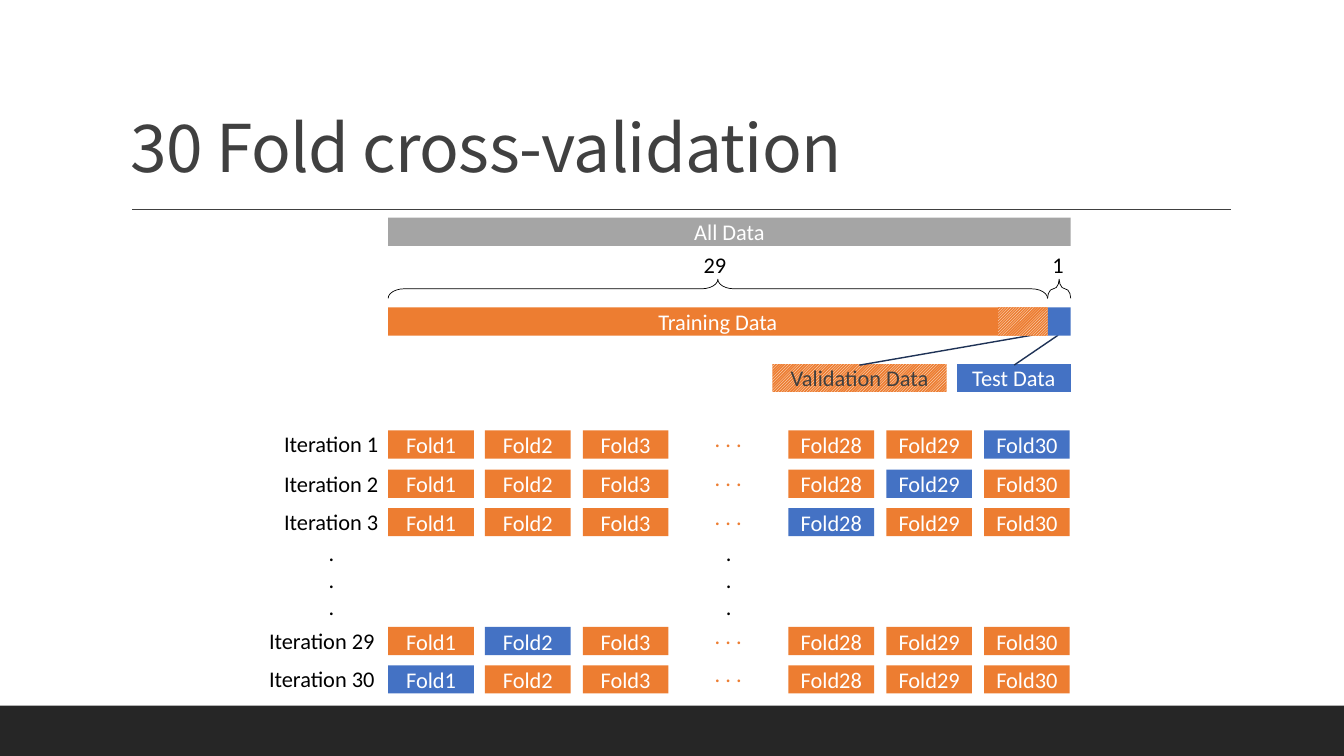
from pptx import Presentation
from pptx.dml.color import RGBColor
from pptx.enum.dml import MSO_PATTERN
from pptx.enum.shapes import MSO_CONNECTOR, MSO_SHAPE
from pptx.enum.text import MSO_ANCHOR, MSO_AUTO_SIZE, PP_ALIGN
from pptx.oxml.ns import qn
from pptx.util import Inches, Pt
from lxml.etree import SubElement

COLORS = {
    "white": "FFFFFF", "black": "000000", "ink": "404040", "footer": "262626",
    "gray": "A5A5A5", "train": "ED7D31", "test": "4472C4",
    "leader": "1E3256", "outline": "843C0B",
}
BAR_HEIGHT = 0.28
DATA_LEFT = 3.85
FOLD_WIDTH = 0.85
FOLD_LEFTS = {1: 3.85, 2: 4.81, 3: 5.78, 28: 7.82, 29: 8.79, 30: 9.76}
# iteration, top of its row, fold held out for testing
ITERATIONS = [(1, 4.27, 30), (2, 4.66, 29), (3, 5.04, 28), (29, 6.22, 2), (30, 6.6, 1)]


def color(name):
    return RGBColor.from_string(COLORS[name])


class SlideBuilder:
    def __init__(self, slide, font="Calibri", size=16):
        self.slide = slide
        self.font = font
        self.size = size

    def set_text(self, frame, text, ink, align=PP_ALIGN.LEFT, font=None, size=None):
        frame.word_wrap = True
        frame.text = text
        for paragraph in frame.paragraphs:
            paragraph.alignment = align
            paragraph.font.name = font or self.font
            paragraph.font.size = Pt(size or self.size)
            paragraph.font.color.rgb = color(ink)

    def label(self, left, top, width, text, ink="black", height=0.38):
        box = self.slide.shapes.add_textbox(
            Inches(left), Inches(top), Inches(width), Inches(height))
        self.set_text(box.text_frame, text, ink)
        box.text_frame.auto_size = MSO_AUTO_SIZE.SHAPE_TO_FIT_TEXT

    def title(self, left, top, width, height, text):
        box = self.slide.shapes.add_textbox(
            Inches(left), Inches(top), Inches(width), Inches(height))
        frame = box.text_frame
        self.set_text(frame, text, "ink", font="Noto Sans CJK JP", size=47)
        frame.vertical_anchor = MSO_ANCHOR.BOTTOM
        paragraph = frame.paragraphs[0]
        paragraph.line_spacing = 0.9
        properties = paragraph.runs[0]._r.get_or_add_rPr()
        properties.set("spc", "-50")
        SubElement(properties, qn("a:ea")).set("typeface", "Noto Sans CJK JP")

    def bar(self, left, top, width, fill, text="", ink="white", height=BAR_HEIGHT,
            kind=MSO_SHAPE.RECTANGLE):
        """Add a borderless filled shape; the fill "hatched" is the striped orange."""
        shape = self.slide.shapes.add_shape(
            kind, Inches(left), Inches(top), Inches(width), Inches(height))
        shape.shadow.inherit = False
        shape.line.fill.background()
        if fill == "hatched":
            shape.fill.patterned()
            shape.fill.pattern = MSO_PATTERN.LIGHT_UPWARD_DIAGONAL
            shape.fill.fore_color.rgb = color("white")
            shape.fill.back_color.rgb = color("train")
        else:
            shape.fill.solid()
            shape.fill.fore_color.rgb = color(fill)
        if text:
            self.set_text(shape.text_frame, text, ink, PP_ALIGN.CENTER)
            shape.text_frame.vertical_anchor = MSO_ANCHOR.MIDDLE
        return shape

    def callout(self, left, top, width, fill, text, ink, adjustments):
        shape = self.bar(left, top, width, fill, text, ink,
                         kind=MSO_SHAPE.LINE_CALLOUT_1_NO_BORDER)
        shape.line.color.rgb = color("leader")
        shape.line.width = Pt(1)
        for index, value in enumerate(adjustments):
            shape.adjustments[index] = value
        return shape

    def brace(self, left, top, length):
        """Add an upward brace that spans length from left, with its tip at top."""
        depth = 0.19
        shape = self.slide.shapes.add_shape(
            MSO_SHAPE.RIGHT_BRACE, Inches(left + (length - depth) / 2),
            Inches(top + (depth - length) / 2), Inches(depth), Inches(length))
        shape.rotation = 270
        shape.adjustments[0] = 0.846
        shape.shadow.inherit = False
        shape.fill.background()
        shape.line.color.rgb = color("black")
        shape.line.width = Pt(0.5)

    def rule(self, left, right, top):
        connector = self.slide.shapes.add_connector(
            MSO_CONNECTOR.STRAIGHT, Inches(left), Inches(top), Inches(right), Inches(top))
        connector.line.color.rgb = color("ink")
        connector.line.width = Pt(1)
        SubElement(connector._element.spPr, qn("a:effectLst"))

    def outline_text(self, shape, name):
        properties = shape.text_frame.paragraphs[0].runs[0]._r.get_or_add_rPr()
        line = SubElement(properties, qn("a:ln"), w=str(Pt(0.5)))
        fill = SubElement(line, qn("a:solidFill"))
        SubElement(fill, qn("a:srgbClr"), val=COLORS[name])


def add_data_split(builder):
    validation = builder.callout(7.66, 3.61, 1.73, "hatched", "Validation Data", "ink",
                                 (-1.023, 1.495, 0.046, 0.5))
    builder.outline_text(validation, "outline")
    builder.callout(9.49, 3.61, 1.13, "test", "Test Data", "white",
                    (0.043, 0.504, -1.02, 0.89))
    builder.bar(DATA_LEFT, 2.16, 6.77, "gray", "All Data")
    builder.bar(DATA_LEFT, 3.05, 6.54, "train", "Training Data")
    builder.bar(10.39, 3.05, 0.23, "test")
    builder.bar(9.9, 3.05, 0.49, "hatched")
    builder.brace(DATA_LEFT, 2.77, 6.54)
    builder.label(6.88, 2.44, 0.49, "29")
    builder.brace(10.39, 2.77, 0.23)
    builder.label(10.34, 2.44, 0.23, "1")


def add_iterations(builder):
    for iteration, top, test_fold in ITERATIONS:
        left, width = (2.72, 1.16) if iteration < 10 else (2.57, 1.43)
        builder.label(left, top - 0.05, width, f"Iteration {iteration}")
        for fold, fold_left in FOLD_LEFTS.items():
            fill = "test" if fold == test_fold else "train"
            builder.bar(fold_left, top, FOLD_WIDTH, fill, f"Fold{fold}")
        builder.label(6.99, top - 0.1, 0.49, ". . .", "train")
    for left in (3.16, 7.1):
        builder.label(left, 5.3, 0.28, ".\n.\n.", height=0.91)


def main():
    presentation = Presentation()
    presentation.slide_width = Inches(13.33)
    presentation.slide_height = Inches(7.5)
    slide = presentation.slides.add_slide(presentation.slide_layouts[6])
    builder = SlideBuilder(slide)
    builder.bar(0, 7, 13.33, "footer", height=0.5)
    builder.rule(1.31, 12.21, 2.08)
    builder.title(1.2, 0.31, 11, 1.59, "30 Fold cross-validation")
    add_data_split(builder)
    add_iterations(builder)
    presentation.save("out.pptx")


if __name__ == "__main__":
    main()
